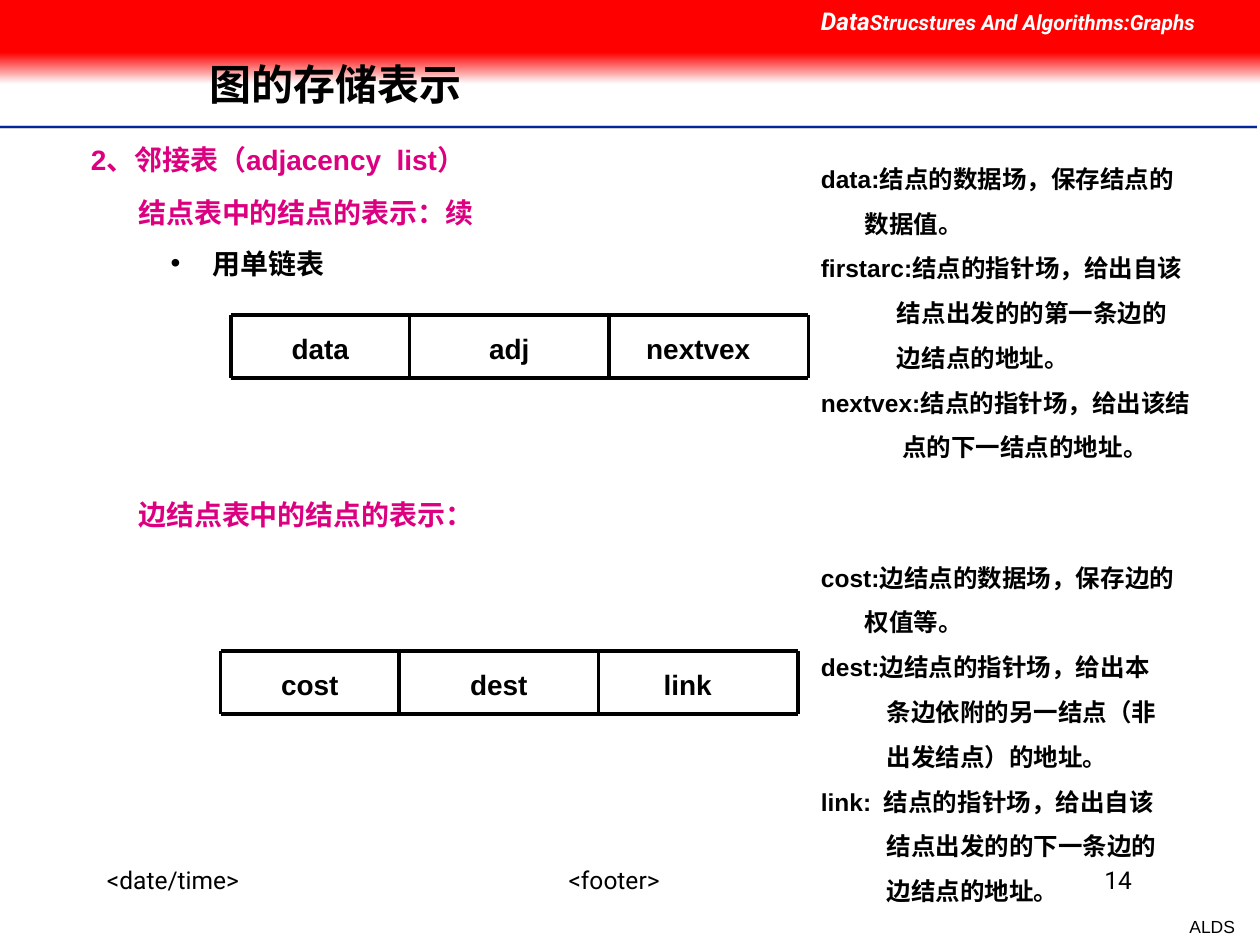
import pptx
import pptx.util
import pptx.dml.color
import pptx.enum.shapes
import pptx.enum.text
import pptx.oxml.ns
from lxml import etree

Pt = pptx.util.Pt
RGB = pptx.dml.color.RGBColor
ALIGN = pptx.enum.text.PP_ALIGN
qn = pptx.oxml.ns.qn

BLACK = RGB(0, 0, 0)
WHITE = RGB(255, 255, 255)
RED = RGB(255, 0, 0)
PALE = RGB(0xFE, 0xFE, 0xFE)
PINK = RGB(0xDC, 0x00, 0x81)
BLUE = RGB(0x00, 0x27, 0x9F)
GREY = RGB(0xCE, 0xCE, 0xCE)

VERTEX_NOTES = [
    ("data:结点的数据场，保存结点的", 0),
    ("数据值。", 25),
    ("firstarc:结点的指针场，给出自该", 0),
    ("结点出发的的第一条边的", 43.5),
    ("边结点的地址。", 43.5),
    ("nextvex:结点的指针场，给出该结", 0),
    ("点的下一结点的地址。", 46.5),
]
EDGE_NOTES = [
    ("cost:边结点的数据场，保存边的", 0),
    ("权值等。", 25),
    ("dest:边结点的指针场，给出本", 0),
    ("条边依附的另一结点（非", 37.5),
    ("出发结点）的地址。", 37.5),
    ("link:\t结点的指针场，给出自该", 0),
    ("结点出发的的下一条边的", 37.5),
    ("边结点的地址。", 37.5),
]


def add_line(slide, x1, y1, x2, y2, color=BLACK, width=2.25):
    line = slide.shapes.add_connector(
        pptx.enum.shapes.MSO_CONNECTOR.STRAIGHT, Pt(x1), Pt(y1), Pt(x2), Pt(y2))
    line.line.color.rgb = color
    line.line.width = Pt(width)
    etree.SubElement(line._element.spPr, qn("a:effectLst"))


def add_band(slide, top, height):
    band = slide.shapes.add_shape(
        pptx.enum.shapes.MSO_SHAPE.RECTANGLE, 0, Pt(top), Pt(720), Pt(height))
    band.shadow.inherit = False
    band.line.fill.background()
    return band


def style(para, size, color=BLACK, bold=True, font="Arial"):
    for run in para.runs:
        run.font.size = Pt(size)
        run.font.name = font
        run.font.bold = bold
        run.font.color.rgb = color


def add_text(slide, box, text, size=16, color=BLACK, align=ALIGN.LEFT,
             bold=True, font="Arial", wrap=True):
    shape = slide.shapes.add_textbox(*[Pt(n) for n in box])
    frame = shape.text_frame
    frame.word_wrap = wrap
    frame.text = text
    para = frame.paragraphs[0]
    para.alignment = align
    style(para, size, color, bold, font)
    return frame


def indent(para, left, first=0):
    props = para._p.get_or_add_pPr()
    props.set("marL", str(Pt(left)))
    props.set("indent", str(Pt(first)))
    return props


def add_bullet(para, left, hang):
    props = indent(para, left, -hang)
    etree.SubElement(props, qn("a:buFont")).set("typeface", "Arial")
    etree.SubElement(props, qn("a:buChar")).set("char", "•")


def add_tab(para, place):
    tabs = etree.SubElement(para._p.get_or_add_pPr(), qn("a:tabLst"))
    tab = etree.SubElement(tabs, qn("a:tab"))
    tab.set("pos", str(Pt(place)))
    tab.set("algn", "l")


def add_notes(slide, box, notes):
    frame = add_text(slide, box, notes[0][0], 14)
    for text, left in notes[1:]:
        para = frame.add_paragraph()
        para.text = text
        para.space_before = Pt(8.8)
        indent(para, left)
        if "\t" in text:
            add_tab(para, 46.5)
        style(para, 14)


def add_record(slide, left, top, names):
    base = top + 36
    for start, end in ((0, 216), (216, 330)):
        for y in (top, base):
            add_line(slide, left + start, y, left + end, y)
    for x in (0, 102, 216, 330):
        add_line(slide, left + x, base, left + x, top)
    for i, name in enumerate(names):
        add_text(slide, (left + 6 + 108 * i, top + 6, 90, 26.6), name,
                 align=ALIGN.CENTER)


def add_frame(slide):
    for y, color, width in ((72.7, GREY, 2), (72.7, BLUE, 1), (74.2, WHITE, 1)):
        add_line(slide, 0, y, 718.5, y, color, width)
    add_text(slide, (672.5, 520, 40.3, 19.4), "ALDS", 10,
             align=ALIGN.RIGHT, bold=False, wrap=False)
    for left, width, text, align in (
            (54, 138, "<date/time>", ALIGN.LEFT),
            (246, 210, "<footer>", ALIGN.CENTER),
            (516, 138, "14", ALIGN.RIGHT)):
        add_text(slide, (left, 490.5, width, 36), text, 14,
                 align=align, bold=False, font="Roboto")

    fade = add_band(slide, 30, 18).fill
    fade.gradient()
    fade.gradient_angle = 270
    for stop, color, place in zip(fade.gradient_stops, (RED, PALE), (0, 1)):
        stop.color.rgb = color
        stop.position = place
    solid = add_band(slide, 0, 30).fill
    solid.solid()
    solid.fore_color.rgb = RED

    head = add_text(slide, (462, 0, 258, 24.5), "Data", 14, WHITE, font="Roboto")
    para = head.paragraphs[0]
    para.add_run().text = "Strucstures And Algorithms:Graphs"
    style(para, 12, WHITE, font="Roboto")
    para.runs[0].font.size = Pt(14)
    for run in para.runs:
        run.font.italic = True


def main():
    deck = pptx.Presentation()
    deck.slide_width, deck.slide_height = Pt(720), Pt(540)
    slide = deck.slides.add_slide(deck.slide_layouts[6])
    add_frame(slide)

    title = add_text(slide, (112.5, 23, 543.5, 53.5), "图的存储表示", 24)
    title.vertical_anchor = pptx.enum.text.MSO_ANCHOR.MIDDLE
    title.paragraphs[0].line_spacing = 0.9

    topic = add_text(slide, (0, 78, 546, 26.6), "2、邻接表（adjacency  list）", color=PINK)
    indent(topic.paragraphs[0], 44.9)
    vertex = add_text(slide, (72, 108, 216, 55.5), "结点表中的结点的表示：续", color=PINK)
    para = vertex.add_paragraph()
    para.text = "用单链表"
    para.space_before = Pt(10)
    add_bullet(para, 42.5, 24)
    style(para, 16)
    add_text(slide, (72, 281, 216, 26.6), "边结点表中的结点的表示：", color=PINK)

    add_record(slide, 132, 180, ("data", "adj", "nextvex"))
    add_record(slide, 126, 372, ("cost", "dest", "link"))
    add_notes(slide, (462, 90, 258, 178), VERTEX_NOTES)
    add_notes(slide, (462, 318, 228, 203), EDGE_NOTES)
    deck.save("out.pptx")


if __name__ == "__main__":
    main()
